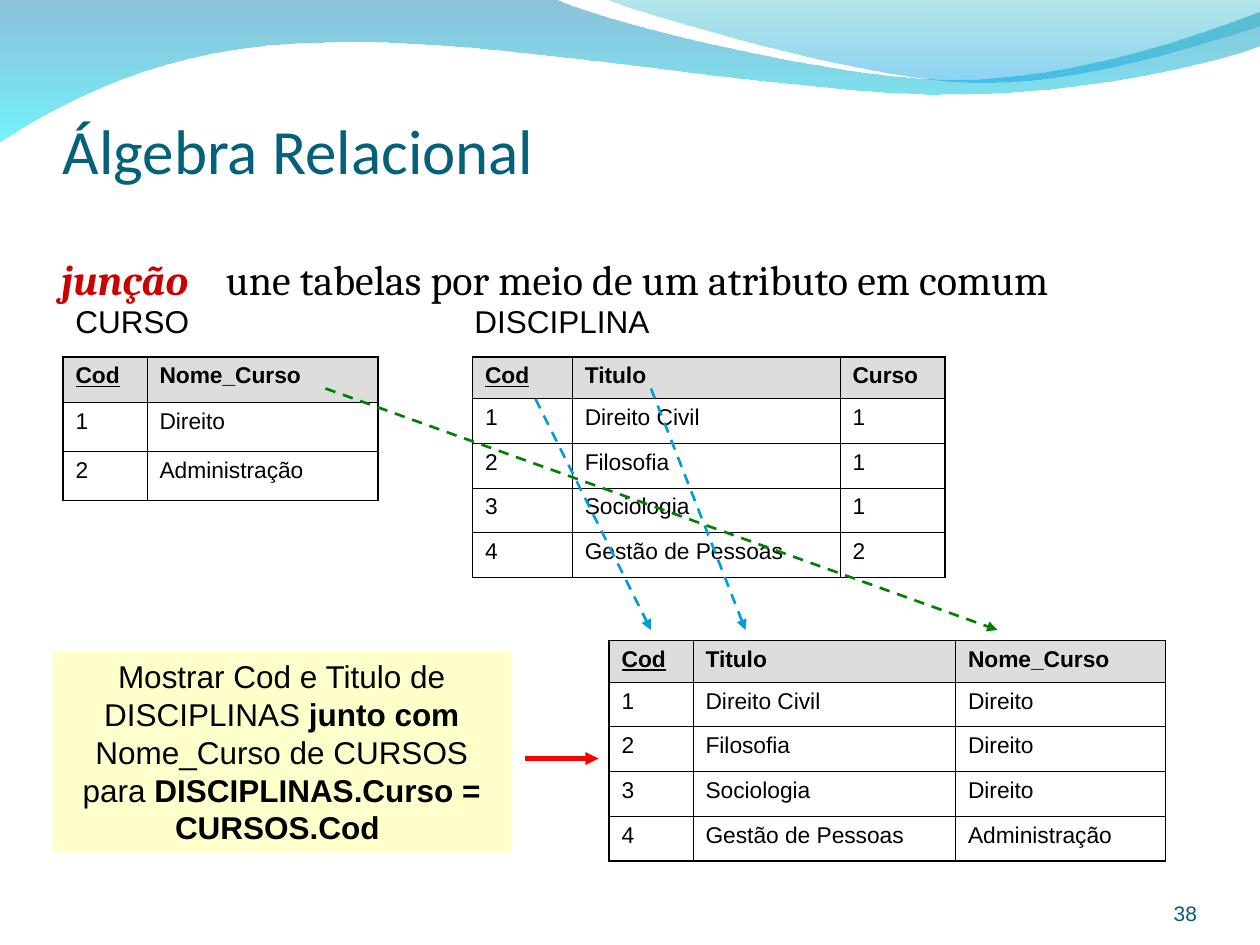
from lxml.etree import SubElement
from pptx import Presentation
from pptx.dml.color import RGBColor
from pptx.enum.dml import MSO_LINE_DASH_STYLE as Dash
from pptx.enum.shapes import MSO_CONNECTOR as Connector, MSO_SHAPE as Shape
from pptx.enum.text import MSO_ANCHOR as Anchor, MSO_AUTO_SIZE as AutoSize, PP_ALIGN as Align
from pptx.oxml import parse_xml
from pptx.oxml.ns import nsdecls, qn
from pptx.util import Pt

UPPER_WAVE = [
    [(0, -0.7)], [(316.8, -0.7)],
    [(342.7, 12.2), (478, 45.4), (545.8, 45.4)],
    [(614.2, 45.4), (689.8, 18.7), (720, 6.5)],
    [(720.7, 25.9)],
    [(707.8, 31.7), (626.4, 54.7), (537.1, 54)],
    [(447.8, 54), (275, 20.2), (185, 24.5)],
    [(92.9, 25.2), (33.1, 59.8), (-0.7, 81.4)],
]
RIGHT_WAVE = [
    [(344.9, -0.7)],
    [(366.5, 7.9), (491, 44.6), (553.7, 46.8)],
    [(616.3, 49.7), (691.9, 23), (720, 15.1)],
    [(720, 0)],
]
COURSES = [("Cod", "Nome_Curso"), ("1", "Direito"), ("2", "Administração")]
SUBJECTS = [
    ("Cod", "Titulo", "Curso"),
    ("1", "Direito Civil", "1"),
    ("2", "Filosofia", "1"),
    ("3", "Sociologia", "1"),
    ("4", "Gestão de Pessoas", "2"),
]
COURSE_NAMES = {code: name for code, name in COURSES[1:]}
JOINED = [("Cod", "Titulo", "Nome_Curso")] + [
    (code, title, COURSE_NAMES[course]) for code, title, course in SUBJECTS[1:]
]


def color(value):
    return RGBColor.from_string(value)


def bend_segments(wave, segments):
    lines = list(wave._element.spPr.iter(qn("a:lnTo")))
    for line, segment in zip(lines, segments[1:]):
        if len(segment) == 3:
            curve = parse_xml(f'<a:cubicBezTo {nsdecls("a")}/>')
            for x, y in segment:
                SubElement(curve, qn("a:pt"), x=str(Pt(x) - wave.left), y=str(Pt(y) - wave.top))
            line.getparent().replace(line, curve)


def add_wave(page, segments, stops):
    corners = [(Pt(x), Pt(y)) for x, y in (segment[-1] for segment in segments)]
    builder = page.shapes.build_freeform(*corners[0])
    builder.add_line_segments(corners[1:], close=True)
    wave = builder.convert_to_shape()
    bend_segments(wave, segments)
    wave.shadow.inherit = False
    wave.line.fill.background()
    wave.fill.gradient()
    wave.fill.gradient_angle = 270
    for stop, (value, opacity) in zip(wave.fill.gradient_stops, stops):
        stop.color.rgb = color(value)
    for node, (value, opacity) in zip(wave._element.spPr.iter(qn("a:srgbClr")), stops):
        SubElement(node, qn("a:alpha")).set("val", str(opacity * 1000))


def style_run(span, size, font="Arial", value="000000", bold=False, italic=False):
    span.font.size = Pt(size)
    span.font.name = font
    span.font.color.rgb = color(value)
    span.font.bold = bold
    span.font.italic = italic


def write_spans(box, spans, size, align=Align.LEFT):
    para = box.text_frame.paragraphs[0]
    para.alignment = align
    for text, style in spans:
        span = para.add_run()
        span.text = text
        style_run(span, size, **style)
    return para


def add_text(page, left, top, width, height, spans, size,
             align=Align.LEFT, anchor=Anchor.TOP, margins=(7.2, 3.6)):
    box = page.shapes.add_textbox(Pt(left), Pt(top), Pt(width), Pt(height))
    frame = box.text_frame
    frame.word_wrap = True
    frame.vertical_anchor = anchor
    frame.margin_left = frame.margin_right = Pt(margins[0])
    frame.margin_top = frame.margin_bottom = Pt(margins[1])
    return write_spans(box, spans, size, align)


def add_table_name(page, left, width, name):
    box = page.shapes.add_textbox(Pt(left), Pt(169.2), Pt(width), Pt(29))
    box.text_frame.word_wrap = False
    box.text_frame.auto_size = AutoSize.SHAPE_TO_FIT_TEXT
    write_spans(box, [(name, {})], 18)


def add_definition(page):
    spans = [
        ("junção\t", dict(font="Cambria", value="CC0000", bold=True, italic=True)),
        ("une tabelas por meio de um atributo em comum", dict(font="Cambria")),
    ]
    para = add_text(page, 28, 118.1, 678, 60, spans, 24)
    para.line_spacing = 1.8
    tabs = SubElement(para._p.get_or_add_pPr(), qn("a:tabLst"))
    SubElement(tabs, qn("a:tab"), pos=str(Pt(94)), algn="l")


def add_callout(page):
    box = page.shapes.add_shape(Shape.RECTANGLE, Pt(30), Pt(372), Pt(262), Pt(115.2))
    box.shadow.inherit = False
    box.fill.solid()
    box.fill.fore_color.rgb = color("FFFFCC")
    box.line.fill.background()
    box.text_frame.word_wrap = True
    box.text_frame.auto_size = AutoSize.SHAPE_TO_FIT_TEXT
    box.text_frame.vertical_anchor = Anchor.TOP
    write_spans(box, [
        ("Mostrar Cod e Titulo de DISCIPLINAS ", {}),
        ("junto com ", dict(bold=True)),
        ("Nome_Curso de CURSOS para ", {}),
        ("DISCIPLINAS.Curso = CURSOS.Cod ", dict(bold=True)),
    ], 18, Align.CENTER)


def set_borders(cell, outer_sides):
    properties = cell._tc.get_or_add_tcPr()
    for index, side in enumerate("LRTB"):
        width = Pt(1.08 if side in outer_sides else 0.45)
        properties.insert(index, parse_xml(
            f'<a:ln{side} {nsdecls("a")} w="{width}"><a:solidFill>'
            f'<a:srgbClr val="000000"/></a:solidFill></a:ln{side}>'))


def add_grid(page, left, top, widths, heights, rows):
    frame = page.shapes.add_table(
        len(rows), len(widths), Pt(left), Pt(top), Pt(sum(widths)), Pt(sum(heights)))
    table = frame.table
    table.first_row = table.horz_banding = False
    for column, width in zip(table.columns, widths):
        column.width = Pt(width)
    for r, (values, height) in enumerate(zip(rows, heights)):
        table.rows[r].height = Pt(height)
        for c, value in enumerate(values):
            cell = table.cell(r, c)
            cell.text_frame.text = value
            span = cell.text_frame.paragraphs[0].runs[0]
            style_run(span, 13, bold=r == 0)
            span.font.underline = r == 0 and c == 0
            if r == 0:
                cell.fill.solid()
                cell.fill.fore_color.rgb = color("DDDDDD")
            else:
                cell.fill.background()
            edges = {"L": c == 0, "R": c == len(widths) - 1,
                     "T": r == 0, "B": r == len(rows) - 1}
            set_borders(cell, [side for side, outer in edges.items() if outer])


def add_arrow(page, start, end, value, width=1.5, dash=Dash.DASH):
    arrow = page.shapes.add_connector(
        Connector.STRAIGHT, *(Pt(length) for length in start + end))
    arrow.line.color.rgb = color(value)
    arrow.line.width = Pt(width)
    arrow.line.dash_style = dash
    SubElement(arrow.line._get_or_add_ln(), qn("a:tailEnd"), type="triangle")
    SubElement(arrow._element.spPr, qn("a:effectLst"))


def main():
    deck = Presentation()
    deck.slide_width, deck.slide_height = Pt(720), Pt(540)
    page = deck.slides.add_slide(deck.slide_layouts[6])

    add_wave(page, UPPER_WAVE, [("0079AF", 45), ("00EBF8", 55)])
    add_wave(page, RIGHT_WAVE, [("00ADB6", 30), ("009BE5", 45)])
    add_text(page, 36, 55.8, 648, 51, [("Álgebra Relacional", dict(font="Calibri", value="04617B"))],
             36, anchor=Anchor.BOTTOM, margins=(0, 0))
    add_definition(page)
    add_text(page, 624, 500.4, 60, 28.8, [("38", dict(value="045C75"))],
             12, Align.RIGHT, Anchor.BOTTOM, (0, 0))
    add_callout(page)
    add_arrow(page, (300, 433.5), (342, 433.5), "FF0000", 2.5, Dash.SOLID)

    long_rows = [23.8] + [25.55] * 4
    add_grid(page, 36, 204, [48, 132], [26, 28, 28], COURSES)
    add_table_name(page, 36, 79.4, "CURSO")
    add_grid(page, 270, 204, [57, 153, 60], long_rows, SUBJECTS)
    add_table_name(page, 264, 114.5, "DISCIPLINA")
    add_grid(page, 348, 366, [48, 150, 120], long_rows, JOINED)

    add_arrow(page, (306, 228), (372, 360), "009DD9")
    add_arrow(page, (372, 222), (426, 360), "009DD9")
    add_arrow(page, (186, 222), (570, 360), "008000")
    deck.save("out.pptx")


if __name__ == "__main__":
    main()
